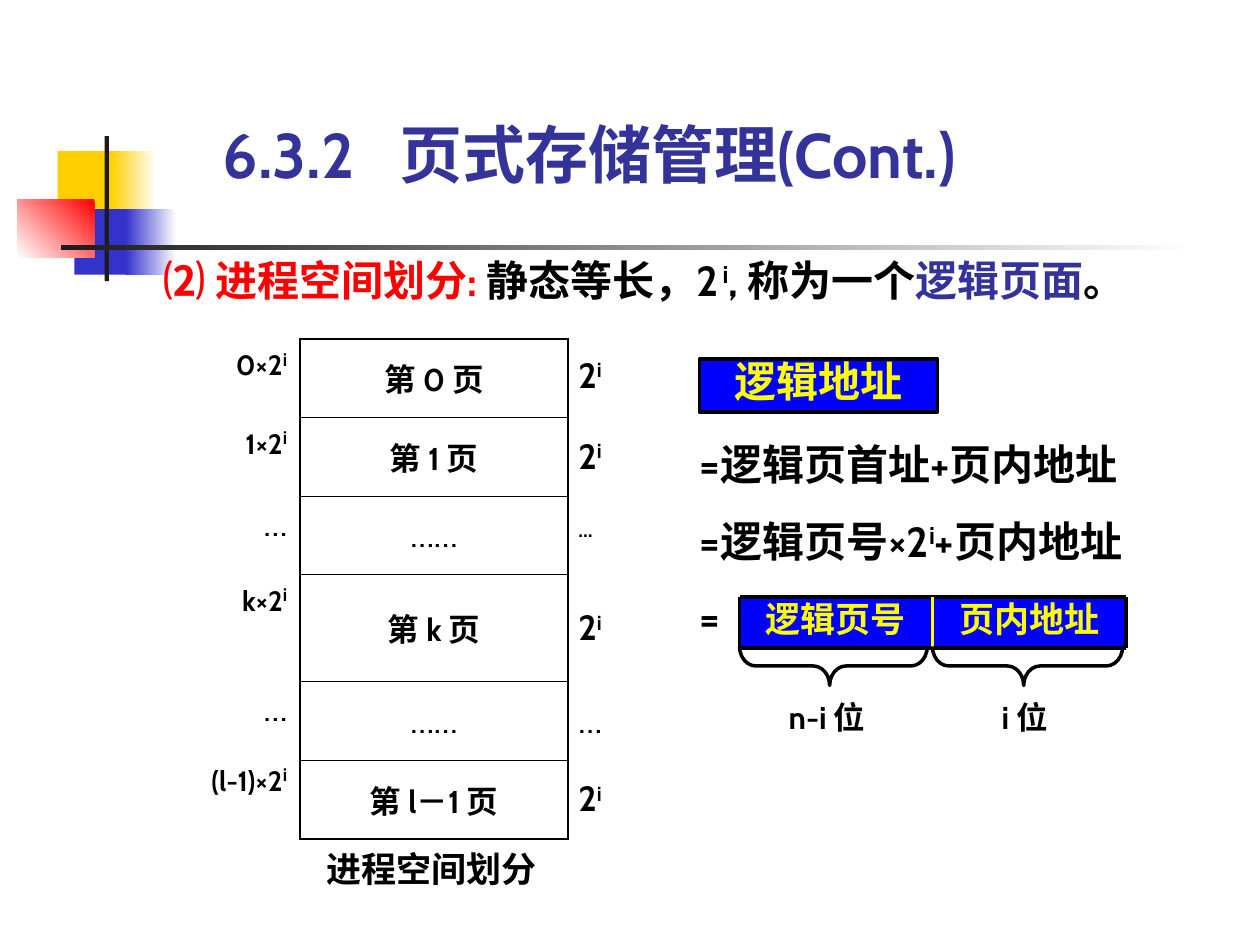
import pptx
import pptx.dml.color
import pptx.enum.shapes
import pptx.enum.text
import pptx.oxml
import pptx.oxml.ns
import pptx.util

Pt = pptx.util.Pt
Shape = pptx.enum.shapes.MSO_SHAPE
Align = pptx.enum.text.PP_ALIGN
Anchor = pptx.enum.text.MSO_ANCHOR
Fit = pptx.enum.text.MSO_AUTO_SIZE

COLORS = {
    "white": "FFFFFF", "black": "000000", "ink": "1C1C1C", "gold": "FFCF01",
    "royal": "3333CC", "red": "FF0000", "indigo": "333399",
    "blue": "0000FF", "yellow": "FFFF00",
}
NO_INSETS = (0, 0, 0, 0)
BOX_INSETS = (7.2, 3.6, 7.2, 3.6)


class SlideBuilder:
    """Draw styled elements on the current slide."""

    font = "Cabin"

    def __init__(self, slide):
        self.slide = slide

    def rgb(self, name):
        return pptx.dml.color.RGBColor.from_string(COLORS[name])

    def apply(self, target, values):
        for attribute, value in values.items():
            setattr(target, attribute, value)

    def margins(self, insets):
        sides = ("margin_left", "margin_top", "margin_right", "margin_bottom")
        return dict(zip(sides, map(Pt, insets)))

    def fill_text(self, frame, paragraphs, size, color="black", bold=True, insets=NO_INSETS,
                  frame_format=None, paragraph_format=None, gap=0, tab=None):
        self.apply(frame, {"word_wrap": True, **self.margins(insets), **(frame_format or {})})
        for index, runs in enumerate(paragraphs):
            paragraph = frame.add_paragraph() if index else frame.paragraphs[0]
            self.apply(paragraph, paragraph_format or {})
            if index:
                paragraph.space_before = Pt(gap)
            if tab:
                properties = paragraph._p.get_or_add_pPr()
                properties.append(pptx.oxml.parse_xml(
                    f'<a:tabLst {pptx.oxml.ns.nsdecls("a")}><a:tab pos="{Pt(tab)}" algn="l"/></a:tabLst>'))
            for words, changes in runs:
                style = {"size": size, "color": color, "raised": False, **changes}
                run = paragraph.add_run()
                run.text = words
                self.apply(run.font, {"name": self.font, "size": Pt(style["size"]), "bold": bold})
                run.font.color.rgb = self.rgb(style["color"])
                if style["raised"]:
                    run._r.get_or_add_rPr().set("baseline", "30000")

    def text(self, place, paragraphs, size, frame_format=None, **style):
        box = self.slide.shapes.add_textbox(*map(Pt, place))
        grow = {"auto_size": Fit.SHAPE_TO_FIT_TEXT, **(frame_format or {})}
        self.fill_text(box.text_frame, paragraphs, size, frame_format=grow, **style)

    def block(self, place, color, fade=None, outline=None):
        block = self.slide.shapes.add_shape(Shape.RECTANGLE, *map(Pt, place))
        block.shadow.inherit = False
        if fade is None:
            block.fill.solid()
            block.fill.fore_color.rgb = self.rgb(color)
        else:
            block.fill.gradient()
            block.fill.gradient_angle = fade
            for stop, shade in zip(block.fill.gradient_stops, (color, "white")):
                stop.color.rgb = self.rgb(shade)
        if outline:
            block.line.color.rgb = self.rgb(outline)
            block.line.width = Pt(2)
        else:
            block.line.fill.background()
        return block

    def label_block(self, place, words, size, insets=NO_INSETS, anchor=Anchor.MIDDLE, outline=None):
        block = self.block(place, "blue", outline=outline)
        self.fill_text(block.text_frame, [[(words, {})]], size, "yellow", insets=insets,
                       frame_format={"vertical_anchor": anchor},
                       paragraph_format={"alignment": Align.CENTER, "line_spacing": 0.8})

    def line(self, start, end, color="black", width=2.25):
        line = self.slide.shapes.add_connector(
            pptx.enum.shapes.MSO_CONNECTOR.STRAIGHT, *map(Pt, start + end))
        line.line.color.rgb = self.rgb(color)
        line.line.width = Pt(width)
        line._element.spPr.append(
            pptx.oxml.parse_xml(f'<a:effectLst {pptx.oxml.ns.nsdecls("a")}/>'))

    def brace_below(self, left, top, length, depth):
        overhang = (length - depth) / 2
        place = (left + overhang, top - overhang, depth, length)
        brace = self.slide.shapes.add_shape(Shape.LEFT_BRACE, *map(Pt, place))
        brace.rotation = 270
        brace.adjustments[0] = 0.42
        brace.adjustments[1] = 0.48
        brace.shadow.inherit = False
        brace.fill.background()
        brace.line.color.rgb = self.rgb("black")
        brace.line.width = Pt(2)

    def borders(self, cell, widths):
        properties = cell._tc.get_or_add_tcPr()
        for side in "LRTB":
            width = widths.get(side, 0)
            paint = (f'<a:solidFill><a:srgbClr val="{COLORS["black"]}"/></a:solidFill>'
                     if width else "<a:noFill/>")
            properties.append(pptx.oxml.parse_xml(
                f'<a:ln{side} {pptx.oxml.ns.nsdecls("a")} w="{Pt(width)}">{paint}</a:ln{side}>'))
        cell.fill.background()

    def page_table(self, place, widths, heights, rows):
        table = self.slide.shapes.add_table(len(rows), len(widths), *map(Pt, place)).table
        self.apply(table, {"first_row": False, "horz_banding": False})
        for column, width in zip(table.columns, widths):
            column.width = Pt(width)
        for row, height in zip(table.rows, heights):
            row.height = Pt(height)
        aligns = (Align.RIGHT, Align.CENTER, Align.LEFT)
        thick, thin = 1.08, 0.45
        last = len(rows) - 1
        for r, (*entries, bolds) in enumerate(rows):
            frame_sides = {"L": thick, "R": thick, "T": thin if r else thick,
                           "B": thin if r < last else thick}
            for c, runs in enumerate(entries):
                cell = table.cell(r, c)
                self.borders(cell, ({"R": thick}, frame_sides, {"L": thick})[c])
                spacing = 0.8 if (r, c) in ((0, 2), (last, 0)) else 1.0
                self.fill_text(cell.text_frame, [runs], 20, bold=bolds[c],
                               paragraph_format={"alignment": aligns[c], "line_spacing": spacing})
                insets = (5.8 if c == 2 else 7.2, 3.6, 7.2, 3.6)
                self.apply(cell, {"vertical_anchor": Anchor.MIDDLE if c else Anchor.TOP,
                                  **self.margins(insets)})


def page_row(start, name):
    return ([(start + "×2", {"size": 16}), ("i", {"size": 18, "raised": True})],
            [(f"第 {name} 页", {"size": 18})],
            [("2", {}), ("i", {"raised": True})], (True, True, True))


def gap_row(raised):
    return [("…", {})], [("……", {})], [("…", {"raised": raised})], (False, False, raised)


def main():
    deck = pptx.Presentation()
    deck.slide_width, deck.slide_height = Pt(720), Pt(540)
    builder = SlideBuilder(deck.slides.add_slide(deck.slide_layouts[6]))

    for place, color, fade in (
            ((33, 86.4, 34.6, 37.4), "gold", None),
            ((63.4, 86.4, 25.9, 37.4), "gold", 0),
            ((42.5, 119.5, 33.1, 37.4), "royal", None),
            ((72, 119.5, 28.8, 37.4), "royal", 0),
            ((10, 113.8, 44, 33.1), "red", 225),
            ((59.8, 77.8, 2.4, 82.8), "ink", None),
            ((34.6, 140.2, 648, 2.4), "ink", 0)):
        builder.block(place, color, fade)

    builder.text((127.4, 66.2, 510.5, 43.2), [[("6.3.2\t页式存储管理(Cont.)", {})]], 36,
                 color="indigo", tab=100.8, frame_format={"vertical_anchor": Anchor.BOTTOM})
    builder.text((93.6, 145.4, 567.4, 28.8), [[
        ("⑵ 进程空间划分: ", {"color": "red"}), ("静态等长，2", {}), (" ", {"size": 10}),
        ("i", {"raised": True}), (", 称为一个", {}),
        ("逻辑页面", {"color": "indigo"}), ("。", {})]], 24)

    heights = (44.9, 44.9, 44.9, 61.2, 44.9, 44.9)
    builder.page_table((90.7, 193.7, 269.3, sum(heights)), (80.6, 153.4, 35.3), heights, [
        page_row("0", "0"), page_row("1", "1"), gap_row(True),
        page_row("k", "k"), gap_row(False), page_row("(l-1)", "l－1")])
    tight = {"line_spacing": 0.8}
    builder.text((181.4, 488.9, 130.3, 19.4), [[("进程空间划分", {})]], 20,
                 paragraph_format={"alignment": Align.CENTER, **tight})

    builder.text((399.6, 250.6, 294.5, 116.6), [
        [("=逻辑页首址+页内地址", {})],
        [("=逻辑页号×2", {}), ("i", {"raised": True}), ("+页内地址", {})],
        [("=", {})]], 24, gap=15)

    left, middle, right, top, bottom = 422.6, 532.8, 643.7, 341.3, 370.1
    builder.label_block((middle, top, right - middle, bottom - top), "页内地址", 20)
    builder.label_block((left, top, middle - left, bottom - top), "逻辑页号", 20)
    for y in (top, bottom):
        builder.line((left, y), (right, y))
    for x, color, width in ((left, "black", 2.25), (middle, "yellow", 2), (right, "black", 2.25)):
        builder.line((x, top), (x, bottom), color, width)
    for x, length in ((middle, 108.7), (left, 107.3)):
        builder.brace_below(x, 369.4, length, 22.3)
    for x, width, bits in ((572.4, 33.8, "i 位"), (450.7, 56.9, "n-i 位")):
        builder.text((x, 403.2, width, 17.3), [[(bits, {})]], 18, paragraph_format=tight)
    builder.label_block((399.6, 205.2, 136.1, 30.2), "逻辑地址", 24,
                        BOX_INSETS, Anchor.TOP, "black")
    deck.save("out.pptx")


if __name__ == "__main__":
    main()
